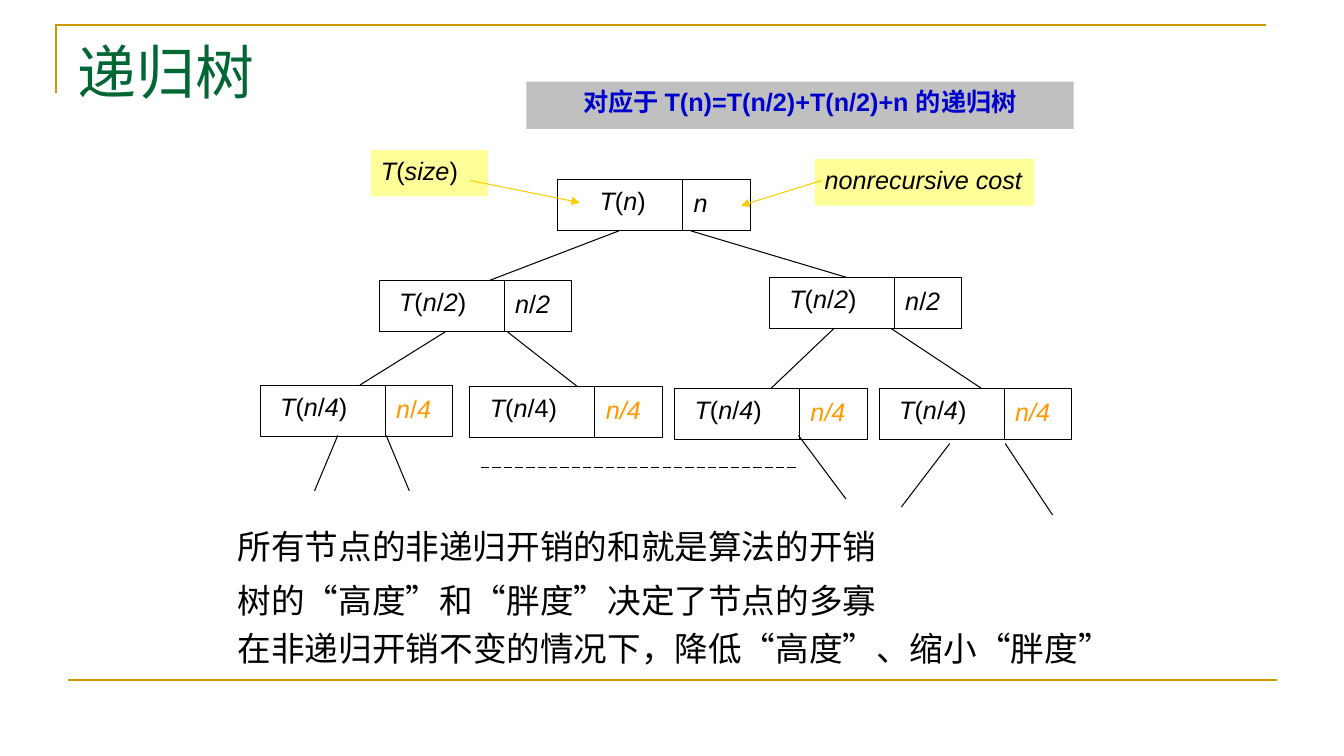
from lxml import etree
from pptx import Presentation
from pptx.dml.color import RGBColor
from pptx.enum import dml, shapes, text
from pptx.oxml import ns
from pptx.util import Inches, Pt

BLACK = RGBColor(0x00, 0x00, 0x00)
WHITE = RGBColor(0xFF, 0xFF, 0xFF)
GOLD = RGBColor(0xCC, 0x99, 0x00)
GREEN = RGBColor(0x00, 0x66, 0x33)
BLUE = RGBColor(0x00, 0x00, 0xCC)
GRAY = RGBColor(0xC0, 0xC0, 0xC0)
YELLOW = RGBColor(0xFF, 0xFF, 0x99)
AMBER = RGBColor(0xFF, 0xCC, 0x00)
ORANGE = RGBColor(0xFF, 0x99, 0x00)
LEFT, CENTER, JUSTIFY = (text.PP_ALIGN.LEFT, text.PP_ALIGN.CENTER,
                         text.PP_ALIGN.JUSTIFY)

# Content: in formulas "|" switches between italic and upright
TITLE = "递归树"
CAPTION = "对应于 T(n)=T(n/2)+T(n/2)+n 的递归树"
HALF, QUARTER = "T|(|n|/|2|)", "T|(|n|/|4|)"
NODES = [  # left, top, size, cost, cost colour, size alignment
    (5.53, 1.78, "T|(|n|)", "n", BLACK, CENTER),
    (3.76, 2.78, HALF, "n|/|2", BLACK, JUSTIFY),
    (7.63, 2.75, HALF, "n|/|2", BLACK, JUSTIFY),
    (2.58, 3.82, QUARTER, "n|/|4", ORANGE, JUSTIFY),
    (4.66, 3.83, "T|(|n|/4)", "n/4", ORANGE, JUSTIFY),
    (6.69, 3.85, QUARTER, "n/4", ORANGE, JUSTIFY),
    (8.72, 3.85, QUARTER, "n/4", ORANGE, JUSTIFY),
]
BRANCHES = [  # x, y of both ends
    (6.14, 2.29, 4.86, 2.78), (6.85, 2.29, 8.39, 2.75),
    (4.42, 3.29, 3.57, 3.82), (5.03, 3.29, 5.72, 3.83),
    (8.27, 3.26, 7.65, 3.85), (8.84, 3.26, 9.73, 3.85),
    (3.35, 4.32, 3.12, 4.87), (3.83, 4.32, 4.06, 4.87),
    (7.92, 4.32, 8.39, 4.95), (9.42, 4.4, 8.94, 5.03),
    (9.97, 4.4, 10.44, 5.11),
]
LABELS = [  # box, formula, arrow
    ((3.68, 1.49, 1.16, 0.46), "T|(|size|)", (4.66, 1.79, 5.75, 2.01)),
    ((8.08, 1.58, 2.18, 0.46), "nonrecursive cost", (8.15, 1.79, 7.35, 2.04)),
]
REMARKS = [  # top, width, text
    (5.17, 6.6, "所有节点的非递归开销的和就是算法的开销"),
    (5.7, 6.6, "树的“高度”和“胖度”决定了节点的多寡"),
    (6.18, 9.29, "在非递归开销不变的情况下，降低“高度”、缩小“胖度”"),
]
NODE_WIDTH, NODE_HEIGHT, SPLIT = 1.91, 0.51, 1.24

deck = Presentation()
deck.slide_width, deck.slide_height = Inches(13.33), Inches(7.5)
page = deck.slides.add_slide(deck.slide_layouts[6])


def add_line(ends, color=BLACK, width=0.75, arrow=False):
    line = page.shapes.add_connector(
        shapes.MSO_CONNECTOR.STRAIGHT, *map(Inches, ends))
    line.line.color.rgb = color
    line.line.width = Pt(width)
    if arrow:
        tail = etree.SubElement(line.line._get_or_add_ln(), ns.qn("a:tailEnd"))
        tail.set("type", "triangle")
    etree.SubElement(line._element.spPr, ns.qn("a:effectLst"))
    return line


def add_box(place, fill, outline=None):
    box = page.shapes.add_shape(
        shapes.MSO_SHAPE.RECTANGLE, *map(Inches, place))
    box.shadow.inherit = False
    box.fill.solid()
    box.fill.fore_color.rgb = fill
    if outline is None:
        box.line.fill.background()
    else:
        box.line.color.rgb = outline
        box.line.width = Pt(0.75)
    return box


def add_text(place):
    return page.shapes.add_textbox(*map(Inches, place))


def write(box, words, size=18, color=BLACK, align=LEFT, font="Arial",
          formula=False, wrap=True):
    frame = box.text_frame
    frame.word_wrap = wrap
    frame.vertical_anchor = text.MSO_ANCHOR.TOP
    para = frame.paragraphs[0]
    para.alignment = align
    para.font.size, para.font.name = Pt(size), font
    para.font.color.rgb = color
    for index, part in enumerate(words.split("|")):
        span = para.add_run()
        span.text = part
        if formula:
            span.font.italic = index % 2 == 0
    return para


# Frame lines and title
corner = page.shapes.build_freeform(Inches(0.56), Inches(0.92))
corner.add_line_segments(
    [(Inches(0.56), Inches(0.25)), (Inches(12.56), Inches(0.25))], close=False)
corner = corner.convert_to_shape()
corner.shadow.inherit = False
corner.fill.background()
corner.line.color.rgb = GOLD
corner.line.width = Pt(1.5)
add_line((0.67, 6.75, 12.67, 6.75), GOLD, 1.5)
write(add_text((0.67, 0.3, 12, 1.25)), TITLE, 42, GREEN,
      font="Times New Roman")

# Caption
caption = add_box((5.22, 0.81, 5.43, 0.47), GRAY)
write(caption, CAPTION, color=BLUE, align=CENTER).font.bold = True

# Tree nodes: a size cell and a cost cell
for left, top, size, cost, color, align in NODES:
    add_box((left, top, NODE_WIDTH, NODE_HEIGHT), WHITE, BLACK)
    split = left + SPLIT
    add_line((split, top, split, top + NODE_HEIGHT))
    write(add_text((left + 0.1, top + 0.01, 1.09, 0.48)), size,
          align=align, formula=True)
    write(add_text((split + 0.01, top + 0.03, 0.78, 0.56)), cost,
          color=color, align=JUSTIFY, formula=True)

# Branches and the dashed continuation
for ends in BRANCHES:
    add_line(ends)
more = add_line((4.77, 4.64, 7.92, 4.64))
more.line.dash_style = dml.MSO_LINE.LONG_DASH

# Labels pointing at the root
for place, words, arrow in LABELS:
    write(add_box(place, YELLOW), words, align=JUSTIFY, formula=True)
    add_line(arrow, AMBER, arrow=True)

# Remarks
for top, width, words in REMARKS:
    write(add_text((2.26, top, width, 0.5)), words, 24, wrap=False)

deck.save("out.pptx")
